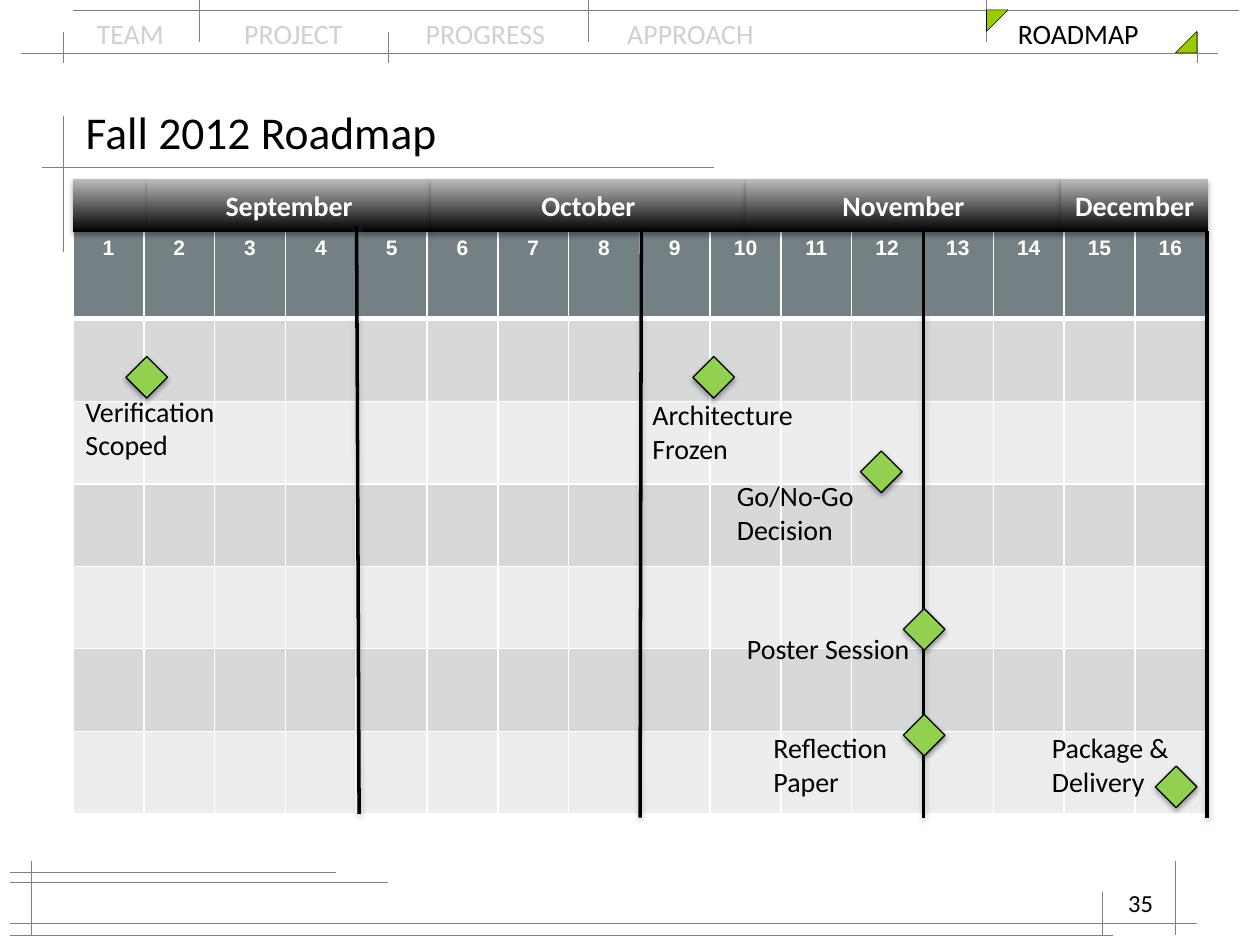
from lxml import etree
from pptx import Presentation
from pptx.dml.color import RGBColor
from pptx.enum import shapes, text
from pptx.oxml import ns
from pptx.util import Inches, Pt

BLACK = RGBColor(0, 0, 0)
WHITE = RGBColor(255, 255, 255)
FADED = RGBColor(0xD0, 0xD0, 0xD0)
RULE_GRAY = RGBColor(0x80, 0x80, 0x80)
SILVER = RGBColor(0xBD, 0xBD, 0xBD)
CORNER_GREEN = RGBColor(0x99, 0xCC, 0x00)
MILESTONE_GREEN = RGBColor(0x92, 0xD0, 0x50)
WEEK_FILL = RGBColor(0x75, 0x80, 0x85)
BANDS = [RGBColor(0xEC, 0xED, 0xED), RGBColor(0xD6, 0xD8, 0xD9)]

TITLE = "Fall 2012 Roadmap"
PAGE_NUMBER = "35"
SECTIONS = ["TEAM", "PROJECT", "PROGRESS", "APPROACH", "ROADMAP"]
SECTION_TABS = [1.17, 2.61, 4.21, 7.31]
HORIZONTAL_RULES = [
    (0.17, 9.67, 0.42), (0.58, 9.83, 0.08), (0.33, 5.67, 1.33), (0.08, 3.08, 7),
    (0.08, 9.5, 7.33), (0.08, 2.67, 6.92), (0.08, 8.83, 7.42),
]
VERTICAL_RULES = [
    (0.5, 0.92, 2), (0.25, 6.83, 7.42), (9.33, 6.83, 7.42), (8.75, 7.08, 7.42),
    (0.5, 0.25, 0.5), (3.08, 0.25, 0.5), (9.5, 0.25, 0.5),
    (1.58, 0, 0.33), (4.67, 0, 0.33), (7.83, 0, 0.33),
]
CORNERS = [(7.83, 0.08, "flipV"), (9.33, 0.25, "flipH")]
MONTHS = [("", 0.58), ("September", 1.17), ("October", 3.42),
          ("November", 5.92), ("December", 8.42)]
MONTHS_END = 9.59
PHASE_LINES = [(2.83, 1.79, 2.85, 6.46), (5.09, 1.83, 5.08, 6.49),
               (7.33, 1.83, 7.33, 6.49), (9.58, 1.83, 9.58, 6.49)]
MILESTONES = [(1, 2.83), (5.5, 2.83), (6.83, 3.58), (7.17, 4.83), (7.17, 5.67), (9.17, 6.08)]
LABELS = [
    (["Verification", "Scoped"], 0.58, 3.08, 1.25),
    (["Architecture", "Frozen"], 5.08, 3.11, 1.5),
    (["Go/No-Go", "Decision"], 5.75, 3.75, 1.28),
    (["Poster Session"], 5.83, 4.96, 1.75),
    (["Reflection", "Paper"], 6.04, 5.75, 1.12),
    (["Package &", "Delivery"], 8.25, 5.75, 1.16),
]
WEEKS, TASK_ROWS = 16, 6
TABLE_LEFT, TABLE_TOP, TABLE_WIDTH, TABLE_HEIGHT = 0.58, 1.83, 8.99, 4.63
WEEK_ROW_HEIGHT = 0.7


def style_font(font, size, color, bold=False, name="Calibri"):
    font.name, font.size, font.bold = name, Pt(size), bold
    font.color.rgb = color


def add_text(page, lines, left, top, width, height, size=16, align=text.PP_ALIGN.LEFT):
    box = page.shapes.add_textbox(Inches(left), Inches(top), Inches(width), Inches(height))
    frame = box.text_frame
    frame.word_wrap = True
    frame.text = "\n".join(lines)
    for para in frame.paragraphs:
        para.alignment = align
        style_font(para.font, size, BLACK)
    return frame


def add_effects(shape, color=None, alpha=0, blur=0, distance=0):
    properties = shape._element.spPr
    effects = etree.SubElement(properties, ns.qn("a:effectLst"))
    if color is not None:
        shadow = etree.SubElement(effects, ns.qn("a:outerShdw"), blurRad=str(Pt(blur)),
                                  dist=str(Pt(distance)), dir="5400000", rotWithShape="0")
        tint = etree.SubElement(shadow, ns.qn("a:srgbClr"), val=str(color))
        etree.SubElement(tint, ns.qn("a:alpha"), val=str(alpha * 1000))


def add_line(page, ends, color, width, *shadow):
    line = page.shapes.add_connector(shapes.MSO_CONNECTOR.STRAIGHT, *map(Inches, ends))
    line.line.color.rgb = color
    line.line.width = Pt(width)
    add_effects(line, *shadow)


def add_solid(page, kind, left, top, size, color, line_width, *shadow):
    shape = page.shapes.add_shape(kind, Inches(left), Inches(top), Inches(size), Inches(size))
    shape.fill.solid()
    shape.fill.fore_color.rgb = color
    shape.line.color.rgb = BLACK
    shape.line.width = Pt(line_width)
    add_effects(shape, *shadow)
    return shape


def add_navigation(page):
    para = add_text(page, [""], 0.67, 0.08, 8.67, 0.37).paragraphs[0]
    tabs = etree.SubElement(para._p.get_or_add_pPr(), ns.qn("a:tabLst"))
    for position in SECTION_TABS:
        etree.SubElement(tabs, ns.qn("a:tab"), pos=str(Inches(position)), algn="l")
    for index, section in enumerate(SECTIONS):
        span = para.add_run()
        span.text = ("\t" if index else "") + section
        style_font(span.font, 16, BLACK if section == SECTIONS[-1] else FADED)


def add_frame_art(page):
    for start, end, y in HORIZONTAL_RULES:
        add_line(page, (start, y, end, y), RULE_GRAY, 0.3)
    for x, start, end in VERTICAL_RULES:
        add_line(page, (x, start, x, end), RULE_GRAY, 0.3)
    for left, top, flip in CORNERS:
        corner = add_solid(page, shapes.MSO_SHAPE.RIGHT_TRIANGLE, left, top, 0.17,
                           CORNER_GREEN, 0.3)
        corner._element.spPr.xfrm.set(flip, "1")


def add_title(page):
    title = page.shapes.title
    title.left, title.top, title.width, title.height = map(Inches, (0.58, 0.75, 8.83, 0.58))
    title.text_frame.text = TITLE
    title.text_frame.vertical_anchor = text.MSO_ANCHOR.MIDDLE
    para = title.text_frame.paragraphs[0]
    para.alignment = text.PP_ALIGN.LEFT
    style_font(para.font, 26, BLACK)


def style_cell(cell, row):
    widths = {"L": 1, "R": 1, "T": 3 if row == 1 else 1, "B": 3 if row == 0 else 1}
    for side, width in widths.items():
        border = etree.SubElement(cell._tc.get_or_add_tcPr(), ns.qn("a:ln" + side),
                                  w=str(Pt(width)))
        fill = etree.SubElement(border, ns.qn("a:solidFill"))
        etree.SubElement(fill, ns.qn("a:srgbClr"), val=str(WHITE))
    cell.fill.solid()
    cell.fill.fore_color.rgb = BANDS[row % 2] if row else WEEK_FILL


def add_calendar(page):
    table = page.shapes.add_table(TASK_ROWS + 1, WEEKS, Inches(TABLE_LEFT), Inches(TABLE_TOP),
                                  Inches(TABLE_WIDTH), Inches(TABLE_HEIGHT)).table
    for column in table.columns:
        column.width = Inches(TABLE_WIDTH / WEEKS)
    task_height = (TABLE_HEIGHT - WEEK_ROW_HEIGHT) / TASK_ROWS
    for row, table_row in enumerate(table.rows):
        table_row.height = Inches(task_height if row else WEEK_ROW_HEIGHT)
        for cell in table_row.cells:
            style_cell(cell, row)
    for week in range(WEEKS):
        cell = table.cell(0, week)
        cell.text = str(week + 1)
        para = cell.text_frame.paragraphs[0]
        para.alignment = text.PP_ALIGN.CENTER
        style_font(para.font, 12, WHITE, True, "Arial")


def add_months(page):
    ends = [left for _, left in MONTHS[1:]] + [MONTHS_END]
    for (month, left), end in zip(MONTHS, ends):
        box = page.shapes.add_shape(shapes.MSO_SHAPE.RECTANGLE, Inches(left), Inches(1.42),
                                    Inches(end - left), Inches(0.42))
        box.fill.gradient()
        box.fill.gradient_angle = 90
        for stop, color in zip(box.fill.gradient_stops, (BLACK, SILVER)):
            stop.color.rgb = color
        box.line.fill.background()
        add_effects(box, BLACK, 35, 3.1, 1.8)
        if month:
            frame = box.text_frame
            frame.text = month
            frame.word_wrap = True
            frame.vertical_anchor = text.MSO_ANCHOR.MIDDLE
            frame.paragraphs[0].alignment = text.PP_ALIGN.CENTER
            style_font(frame.paragraphs[0].font, 16, WHITE, True)


def main():
    deck = Presentation()
    deck.slide_width, deck.slide_height = Inches(10), Inches(7.5)
    page = deck.slides.add_slide(deck.slide_layouts[5])
    add_navigation(page)
    add_frame_art(page)
    add_title(page)
    add_text(page, [PAGE_NUMBER], 7.17, 7, 2.08, 0.5, 14, text.PP_ALIGN.RIGHT)
    add_calendar(page)
    add_months(page)
    for ends in PHASE_LINES:
        add_line(page, ends, BLACK, 2, RULE_GRAY, 38, 3.1, 1.6)
    for left, top in MILESTONES:
        add_solid(page, shapes.MSO_SHAPE.DIAMOND, left, top, 0.33, MILESTONE_GREEN, 0.75,
                  BLACK, 38, 3.1, 1.6)
    for lines, left, top, width in LABELS:
        add_text(page, lines, left, top, width, 0.1 + 0.27 * len(lines))
    deck.save("out.pptx")


if __name__ == "__main__":
    main()
